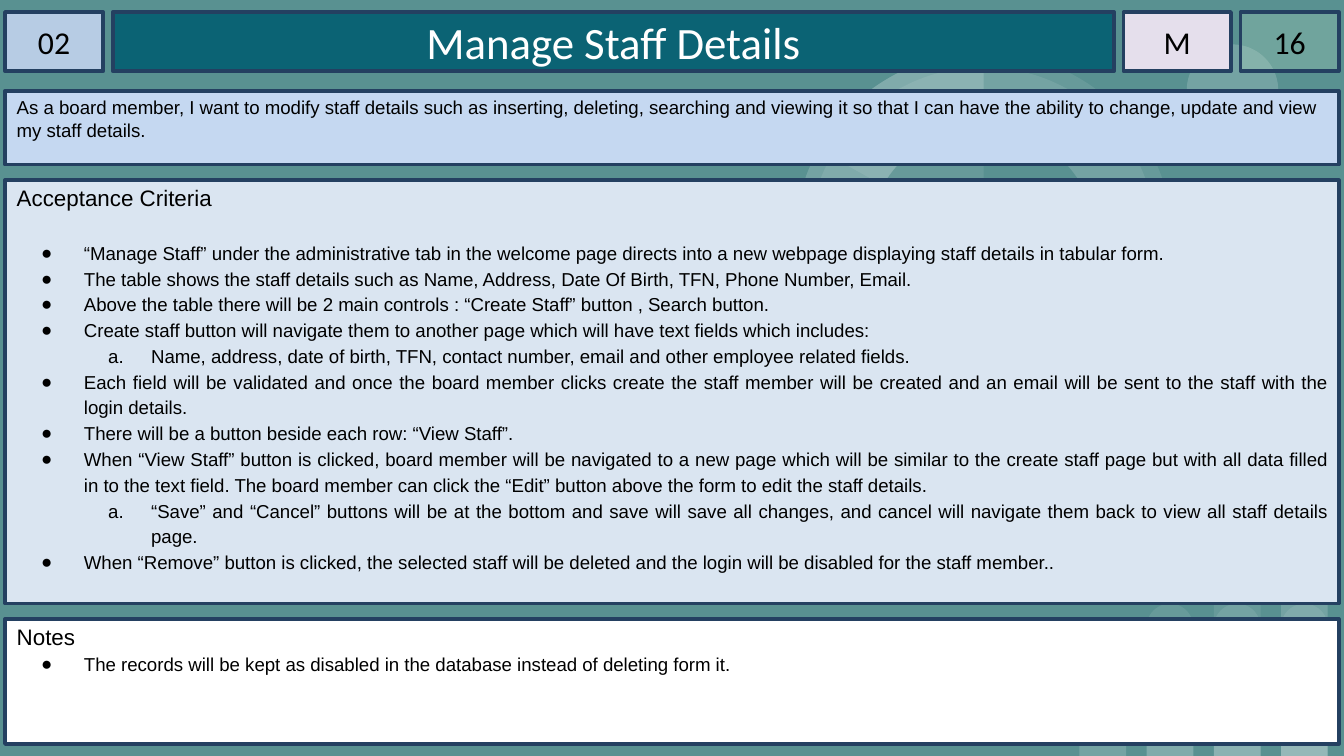
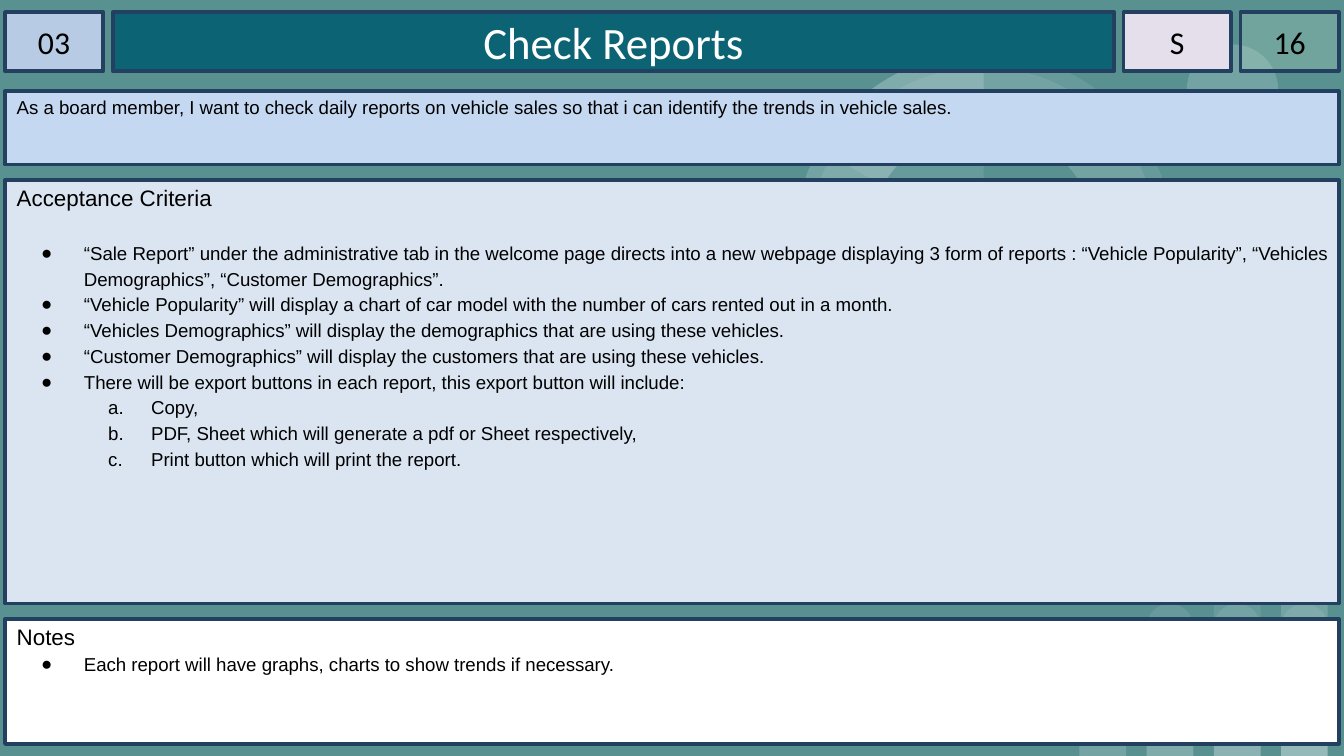
"""Build two user story cards with a header row and three stacked panels."""
import lxml.etree
import pptx
import pptx.dml.color
import pptx.enum.shapes
import pptx.enum.text
import pptx.oxml.ns
import pptx.util

Pt = pptx.util.Pt
RGBColor = pptx.dml.color.RGBColor
Shape = pptx.enum.shapes.MSO_SHAPE
Align = pptx.enum.text.PP_ALIGN
Anchor = pptx.enum.text.MSO_ANCHOR
qn = pptx.oxml.ns.qn

TEAL = RGBColor(0x59, 0x91, 0x91)
DARK_TEAL = RGBColor(0x0B, 0x63, 0x74)
NAVY = RGBColor(0x24, 0x40, 0x61)
STEEL = RGBColor(0xB7, 0xCC, 0xE4)
SKY = RGBColor(0xC5, 0xD8, 0xF1)
ICE = RGBColor(0xDA, 0xE5, 0xF1)
LILAC = RGBColor(0xE5, 0xDF, 0xEC)
MINT = RGBColor(0xCC, 0xF0, 0xCD)
WHITE = RGBColor(0xFF, 0xFF, 0xFF)
BLACK = RGBColor(0x00, 0x00, 0x00)

LEFT, PANEL_WIDTH = 2.7, 714.5
HEADER_TOP, HEADER_HEIGHT, HEADER_GAP = 6.5, 31.7, 5.1
PANELS_TOP, PANEL_GAP = 48.6, 8.3
HANGING = 23

FRAME = {"word_wrap": True, "auto_size": pptx.enum.text.MSO_AUTO_SIZE.NONE,
         "margin_top": Pt(2.9), "margin_bottom": Pt(2.9)}
BADGE_FRAME = FRAME | {"vertical_anchor": Anchor.MIDDLE, "margin_left": 0, "margin_right": 0}
TITLE_FRAME = BADGE_FRAME | {"margin_left": Pt(6.3), "margin_right": Pt(6.3)}
STORY_FRAME = TITLE_FRAME | {"vertical_anchor": Anchor.TOP}
LIST_FRAME = STORY_FRAME | {"margin_top": Pt(2.2)}

BADGE_FONT = {"name": "Calibri", "size": Pt(17)}
TITLE_FONT = {"name": "Calibri", "size": Pt(24)}
HEADING_FONT = {"name": "Arial", "size": Pt(12)}
BODY_FONT = {"name": "Arial", "size": Pt(10)}

CARDS = [
    {"number": "02", "title": "Manage Staff Details", "priority": "M", "points": "16",
     "story": "As a board member, I want to modify staff details such as inserting, deleting, searching "
              "and viewing it so that I can have the ability to change, update and view my staff details.",
     "criteria": [
         (0, "“Manage Staff” under the administrative tab in the welcome page directs into a new webpage "
             "displaying staff details in tabular form."),
         (0, "The table shows the staff details such as Name, Address, Date Of Birth, TFN, Phone Number, Email."),
         (0, "Above the table there will be 2 main controls : “Create Staff” button , Search button."),
         (0, "Create staff button will navigate them to another page which will have text fields which includes:"),
         (1, "Name, address, date of birth, TFN, contact number, email and other employee related fields."),
         (0, "Each field will be validated and once the board member clicks create the staff member will be "
             "created and an email will be sent to the staff with the login details."),
         (0, "There will be a button beside each row: “View Staff”."),
         (0, "When “View Staff” button is clicked, board member will be navigated to a new page which will be "
             "similar to the create staff page but with all data filled in to the text field. The board member "
             "can click the “Edit” button above the form to edit the staff details."),
         (1, "“Save” and “Cancel” buttons will be at the bottom and save will save all changes, and cancel will "
             "navigate them back to view all staff details page."),
         (0, "When “Remove” button is clicked, the selected staff will be deleted and the login will be disabled "
             "for the staff member.."),
     ],
     "notes": [(0, "The records will be kept as disabled in the database instead of deleting form it.")]},
    {"number": "03", "title": "Check Reports", "priority": "S", "points": "16",
     "story": "As a board member, I want to check daily reports on vehicle sales so that i can identify the "
              "trends in vehicle sales.",
     "criteria": [
         (0, "“Sale Report” under the administrative tab in the welcome page directs into a new webpage "
             "displaying 3 form of reports : “Vehicle Popularity”, “Vehicles Demographics”, "
             "“Customer Demographics”."),
         (0, "“Vehicle Popularity” will display a chart of car model with the number of cars rented out in a month."),
         (0, "“Vehicles Demographics” will display the demographics that are using these vehicles."),
         (0, "“Customer Demographics” will display the customers that are using these vehicles."),
         (0, "There will be export buttons in each report, this export button will include:"),
         (1, "Copy,"),
         (1, "PDF, Sheet which will generate a pdf or Sheet respectively,"),
         (1, "Print button which will print the report."),
     ],
     "notes": [(0, "Each report will have graphs, charts to show trends if necessary.")]},
]


def paint(box, color, opacity=100, outlined=True):
    box.shadow.inherit = False
    box.fill.solid()
    box.fill.fore_color.rgb = color
    if opacity < 100:
        tint = next(box.element.spPr.iter(qn("a:srgbClr")))
        lxml.etree.SubElement(tint, qn("a:alpha"), val=str(opacity * 1000))
    if outlined:
        box.line.color.rgb = NAVY
        box.line.width = Pt(2)
    else:
        box.line.fill.background()


def write(para, text, font, color=BLACK, **layout):
    span = para.add_run()
    span.text = text
    span.font.color.rgb = color
    for target, values in ((span.font, font), (para, layout)):
        for name, value in values.items():
            setattr(target, name, value)


deck = pptx.Presentation()
deck.slide_width, deck.slide_height = Pt(720), Pt(405)
title_only = deck.slide_layouts[5]
title_only.background.fill.solid()
title_only.background.fill.fore_color.rgb = TEAL
for holder in list(title_only.placeholders):
    if holder.placeholder_format.idx:
        holder.element.getparent().remove(holder.element)
pages = [deck.slides.add_slide(title_only) for card in CARDS]

decor = pages[0].shapes.add_group_shape()
for column in range(4):
    for level in range(1, column + 3):
        height = 27.2 * level
        bar = decor.shapes.add_shape(Shape.ROUND_2_SAME_RECTANGLE, Pt(578.3 + 36 * column),
                                     Pt(405 - height), Pt(25), Pt(height))
        bar.adjustments[0] = 0.5
        paint(bar, WHITE, 9, False)
for kind, left, top, size, turn, angles, color, opacity in [
    (Shape.OVAL, 635.8, 23.8, 49, 215.9, [], WHITE, 9),
    (Shape.PIE, 635.8, 23.8, 49, 215.9, [193.77, 123.14], WHITE, 9),
    (Shape.OVAL, 425.5, 28.1, 203, 0, [], WHITE, 9),
    (Shape.OVAL, 433.4, 36, 186.5, 34.1, [], WHITE, 9),
    (Shape.PIE, 425.5, 28.1, 203, 0, [88.01, 162], WHITE, 9),
    (Shape.OVAL, 465.1, 68.4, 122.4, 34.1, [], TEAL, 100),
    (Shape.PIE, 425.5, 28.1, 203, 0, [125.54, 162], WHITE, 9),
]:
    disc = decor.shapes.add_shape(kind, Pt(left), Pt(top), Pt(size), Pt(size))
    disc.rotation = turn
    for index, angle in enumerate(angles):
        disc.adjustments[index] = angle
    paint(disc, color, opacity, False)
title_only.shapes.element.append(decor.element)

for page, card in zip(pages, CARDS):
    left = LEFT
    for key, width, color, opacity in [("number", 52.6, STEEL, 100), ("title", 536.4, DARK_TEAL, 100),
                                       ("priority", 57.6, LILAC, 100), ("points", 52.6, MINT, 20)]:
        place = {"left": Pt(left), "top": Pt(HEADER_TOP), "width": Pt(width), "height": Pt(HEADER_HEIGHT)}
        if key == "title":
            box, frame, font, ink = page.shapes.title, TITLE_FRAME, TITLE_FONT, WHITE
            for name, value in place.items():
                setattr(box, name, value)
        else:
            box = page.shapes.add_shape(Shape.RECTANGLE, *place.values())
            frame, font, ink = BADGE_FRAME, BADGE_FONT, BLACK
        paint(box, color, opacity)
        for name, value in frame.items():
            setattr(box.text_frame, name, value)
        write(box.text_frame.paragraphs[0], card[key], font, ink, alignment=Align.CENTER)
        left += width + HEADER_GAP

    top = PANELS_TOP
    for key, heading, height, color, frame, space in [
        ("story", None, 39.6, SKY, STORY_FRAME, 0),
        ("criteria", "Acceptance Criteria", 226.8, ICE, LIST_FRAME, 14.6),
        ("notes", "Notes", 67, WHITE, LIST_FRAME, 0),
    ]:
        panel = page.shapes.add_shape(Shape.RECTANGLE, Pt(LEFT), Pt(top), Pt(PANEL_WIDTH), Pt(height))
        paint(panel, color)
        for name, value in frame.items():
            setattr(panel.text_frame, name, value)
        first = panel.text_frame.paragraphs[0]
        top += height + PANEL_GAP
        if heading is None:
            write(first, card[key], BODY_FONT, alignment=Align.LEFT)
            continue
        write(first, heading, HEADING_FONT, alignment=Align.LEFT, space_after=Pt(space))
        for level, text in card[key]:
            para = panel.text_frame.add_paragraph()
            write(para, text, BODY_FONT, alignment=Align.JUSTIFY, level=level, line_spacing=1.15)
            props = para._p.get_or_add_pPr()
            props.set("marL", str(Pt(36 * (level + 1))))
            props.set("indent", str(-Pt(HANGING)))
            tint = lxml.etree.SubElement(props, qn("a:buClr"))
            lxml.etree.SubElement(tint, qn("a:srgbClr"), val=str(BLACK))
            lxml.etree.SubElement(props, qn("a:buFont"), typeface="Arial")
            if level:
                lxml.etree.SubElement(props, qn("a:buAutoNum"), type="alphaLcPeriod")
            else:
                lxml.etree.SubElement(props, qn("a:buChar"), char="●")

deck.save("out.pptx")
